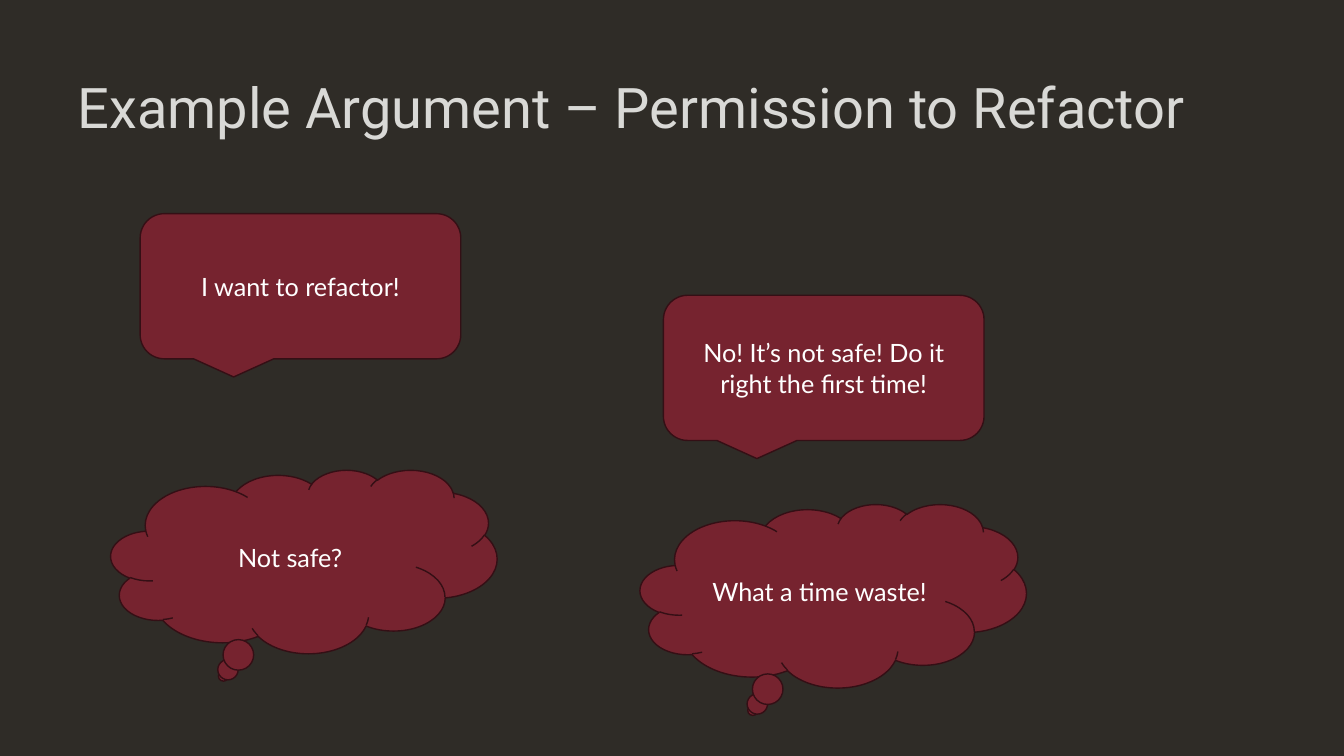
from dataclasses import dataclass

from pptx import Presentation
from pptx.dml.color import RGBColor
from pptx.enum.shapes import MSO_SHAPE as Shape
from pptx.enum.text import MSO_ANCHOR as Anchor, MSO_AUTO_SIZE as AutoSize, PP_ALIGN as Align
from pptx.slide import Slide
from pptx.text.text import TextFrame
from pptx.util import Inches, Pt

COLORS = {
    "background": "2F2C27",
    "title": "D9D9D6",
    "bubble": "76232F",
    "outline": "340F15",
    "speech": "FFFFFF",
}
TITLE_FONT = {"name": "Roboto", "size": Pt(40)}
BUBBLE_FONT = {"name": "Lato", "size": Pt(18)}
SPEECH_SIZE = (3.18, 1.44)
THOUGHT_SIZE = (3.83, 1.82)


@dataclass
class Bubble:
    words: str
    left: float
    top: float
    thought: bool = False


BUBBLES = [
    Bubble("I want to refactor!", 1.39, 2.12),
    Bubble("No! It’s not safe! Do it right the first time!", 6.58, 2.93),
    Bubble("Not safe?", 1.1, 4.66, thought=True),
    Bubble("What a time waste!", 6.35, 5, thought=True),
]


def color(key: str) -> RGBColor:
    return RGBColor.from_string(COLORS[key])


def write(frame: TextFrame, words: str, align: Align, font: dict, color_key: str) -> None:
    frame.text = words
    frame.word_wrap = True
    frame.auto_size = AutoSize.NONE
    frame.vertical_anchor = Anchor.MIDDLE
    paragraph = frame.paragraphs[0]
    paragraph.alignment = align
    run_font = paragraph.runs[0].font
    for attribute, value in font.items():
        setattr(run_font, attribute, value)
    run_font.color.rgb = color(color_key)


def add_title(slide: Slide, words: str) -> None:
    title = slide.shapes.title
    title.left, title.top = Inches(0.67), Inches(0.49)
    title.width, title.height = Inches(12), Inches(1.2)
    write(title.text_frame, words, Align.LEFT, TITLE_FONT, "title")
    title.text_frame.paragraphs[0].line_spacing = 0.9


def add_bubble(slide: Slide, bubble: Bubble) -> None:
    outline = Shape.CLOUD_CALLOUT if bubble.thought else Shape.ROUNDED_RECTANGULAR_CALLOUT
    width, height = THOUGHT_SIZE if bubble.thought else SPEECH_SIZE
    callout = slide.shapes.add_shape(
        outline, Inches(bubble.left), Inches(bubble.top), Inches(width), Inches(height)
    )
    callout.shadow.inherit = False
    callout.fill.solid()
    callout.fill.fore_color.rgb = color("bubble")
    callout.line.color.rgb = color("outline")
    callout.line.width = Pt(1)
    write(callout.text_frame, bubble.words, Align.CENTER, BUBBLE_FONT, "speech")


def main() -> None:
    deck = Presentation()
    deck.slide_width, deck.slide_height = Inches(13.33), Inches(7.5)
    slide = deck.slides.add_slide(deck.slide_layouts.get_by_name("Title Only"))

    # Background and title
    slide.background.fill.solid()
    slide.background.fill.fore_color.rgb = color("background")
    add_title(slide, "Example Argument – Permission to Refactor")

    # Spoken lines and private thoughts
    for bubble in BUBBLES:
        add_bubble(slide, bubble)

    deck.save("out.pptx")


if __name__ == "__main__":
    main()
